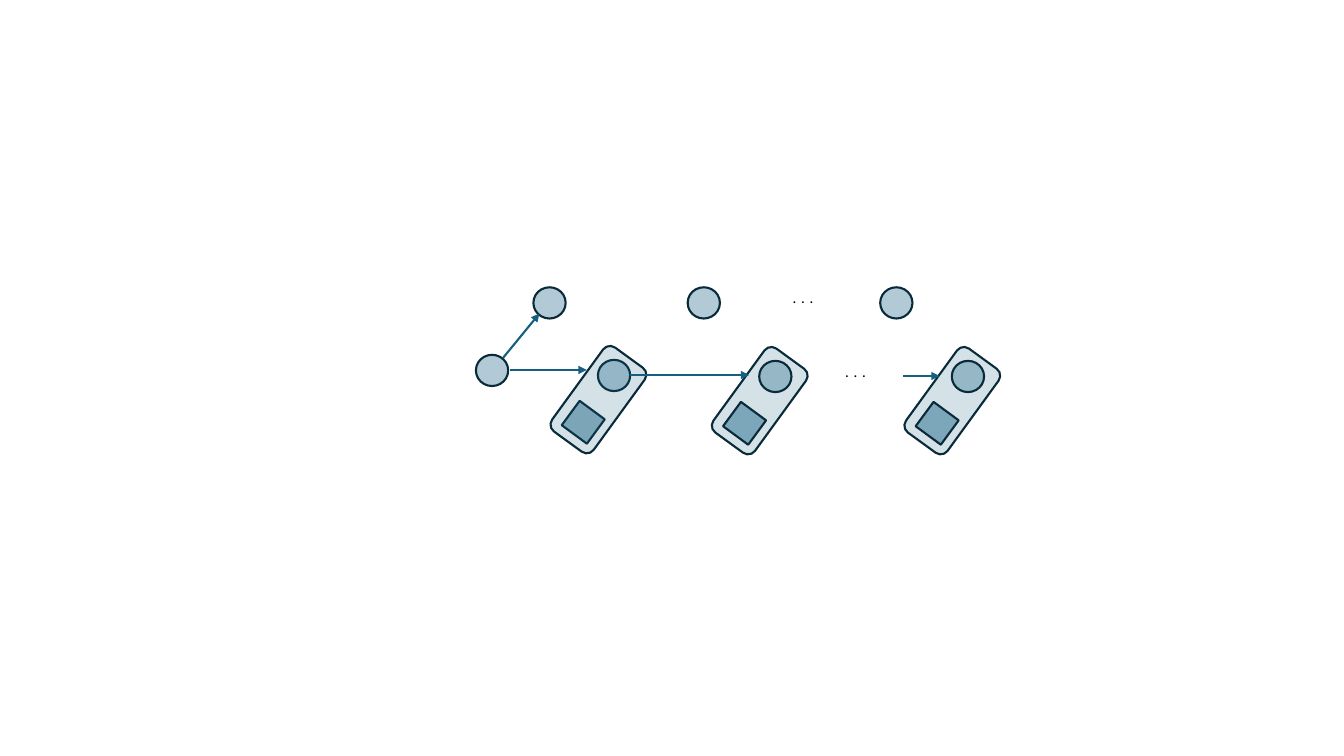
from dataclasses import dataclass

from lxml.etree import SubElement
from pptx import Presentation
from pptx.dml.color import RGBColor
from pptx.enum.shapes import MSO_CONNECTOR, MSO_SHAPE
from pptx.enum.text import MSO_AUTO_SIZE
from pptx.oxml.ns import qn
from pptx.util import Inches, Pt


@dataclass(frozen=True)
class Theme:
    accent: RGBColor = RGBColor(0x15, 0x60, 0x82)
    outline: RGBColor = RGBColor(0x09, 0x2A, 0x39)
    text: RGBColor = RGBColor(0, 0, 0)
    font: str = "Roboto"
    text_size: Pt = Pt(12)
    line_width: Pt = Pt(1.5)
    circle_opacity: int = 33
    square_opacity: int = 46
    capsule_opacity: int = 18


class Diagram:
    def __init__(self, page, theme):
        self.page = page
        self.theme = theme

    def shape(self, kind, left, top, width, height, opacity, rotation=0):
        shape = self.page.shapes.add_shape(
            kind, Inches(left), Inches(top), Inches(width), Inches(height))
        shape.rotation = rotation
        shape.shadow.inherit = False
        shape.fill.solid()
        shape.fill.fore_color.rgb = self.theme.accent
        color = shape.fill._xPr.find(qn("a:solidFill"))[0]
        SubElement(color, qn("a:alpha"), val=str(opacity * 1000))
        shape.line.color.rgb = self.theme.outline
        shape.line.width = self.theme.line_width

    def circle(self, left, top):
        self.shape(MSO_SHAPE.OVAL, left, top, 0.32, 0.31,
                   self.theme.circle_opacity)

    def square(self, left, top):
        self.shape(MSO_SHAPE.RECTANGLE, left, top, 0.31, 0.3,
                   self.theme.square_opacity, 36.3)

    def capsule(self, left, top):
        self.shape(MSO_SHAPE.ROUNDED_RECTANGLE, left, top, 0.51, 1.03,
                   self.theme.capsule_opacity, 36)

    def pair(self, left, top, capsule_in_front=False):
        """A tilted capsule that holds a circle and a square."""
        if not capsule_in_front:
            self.capsule(left, top)
        self.circle(left + 0.25, top + 0.12)
        self.square(left - 0.05, top + 0.59)
        if capsule_in_front:
            self.capsule(left, top)

    def arrow(self, start_x, start_y, end_x, end_y):
        arrow = self.page.shapes.add_connector(
            MSO_CONNECTOR.STRAIGHT, Inches(start_x), Inches(start_y),
            Inches(end_x), Inches(end_y))
        arrow.line.color.rgb = self.theme.accent
        arrow.line.width = self.theme.line_width
        SubElement(arrow.line._get_or_add_ln(), qn("a:tailEnd"),
                   type="triangle")
        SubElement(arrow._element.spPr, qn("a:effectLst"))

    def dots(self, left, top):
        box = self.page.shapes.add_textbox(
            Inches(left), Inches(top), Inches(0.41), Inches(0.3))
        frame = box.text_frame
        frame.word_wrap = True
        frame.auto_size = MSO_AUTO_SIZE.NONE
        frame.margin_right = 0  # room for all three dots on one line
        para = frame.paragraphs[0]
        para.text = ". . ."
        para.font.name = self.theme.font
        para.font.size = self.theme.text_size
        para.font.color.rgb = self.theme.text


def main():
    deck = Presentation()
    deck.slide_width = Inches(13.33)
    deck.slide_height = Inches(7.5)
    page = deck.slides.add_slide(deck.slide_layouts[6])
    diagram = Diagram(page, Theme())

    # Start node and its branch to the upper row
    diagram.circle(4.72, 3.52)
    diagram.circle(5.29, 2.85)
    diagram.arrow(4.99, 3.55, 5.35, 3.11)

    # Lower row of capsules
    diagram.pair(5.68, 3.45, capsule_in_front=True)
    for left in (7.28, 9.19):
        diagram.pair(left, 3.46)

    # Rest of the upper row
    for left in (6.82, 8.73):
        diagram.circle(left, 2.85)

    # Continuation dots
    diagram.dots(7.76, 2.8)
    diagram.dots(8.28, 3.53)

    # Level arrows along the lower row
    for start, end, height in ((5.06, 5.82, 3.67), (6.25, 7.43, 3.72),
                               (8.96, 9.32, 3.73)):
        diagram.arrow(start, height, end, height)

    deck.save("out.pptx")


if __name__ == "__main__":
    main()
